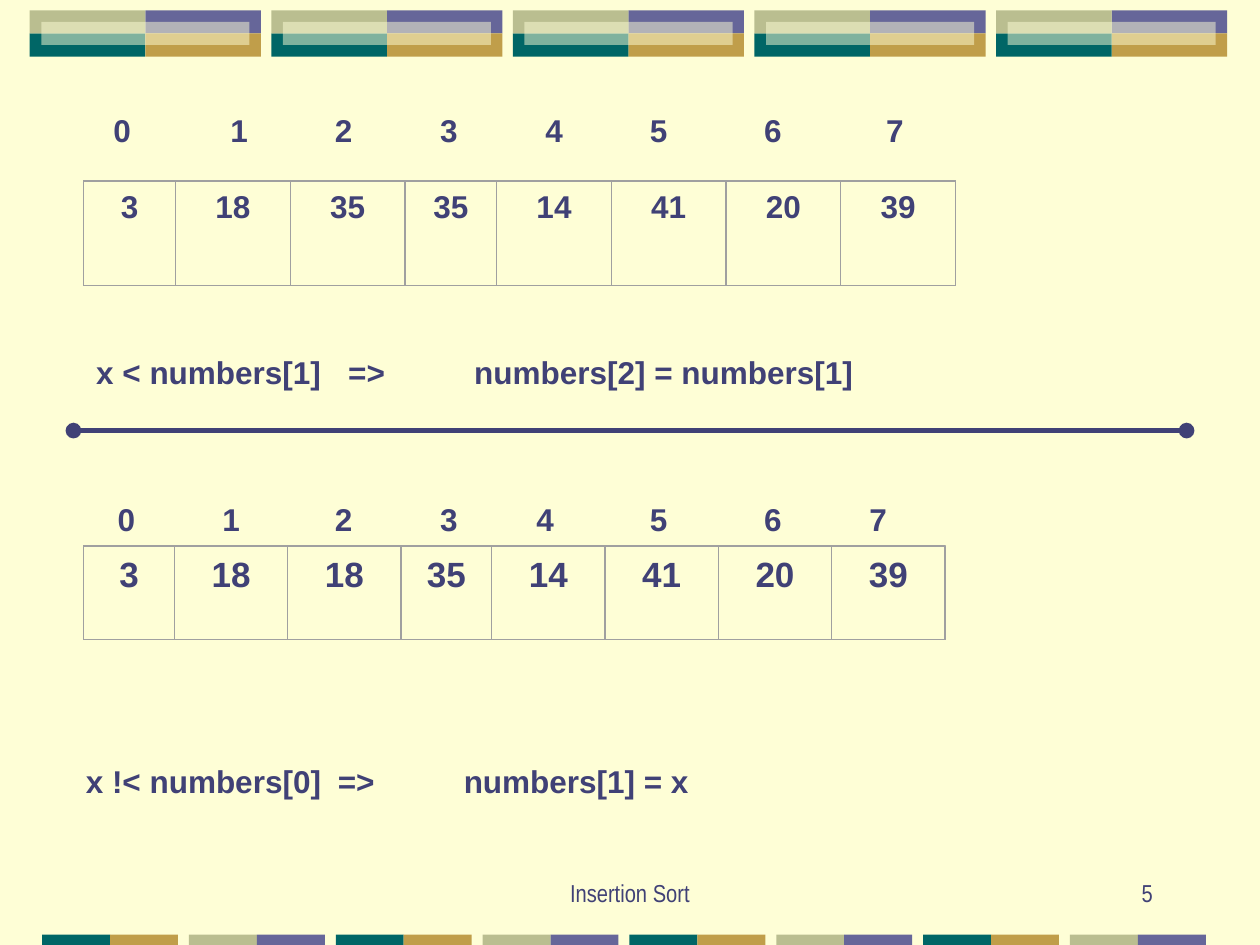
from lxml import etree
from pptx import Presentation
from pptx.dml.color import RGBColor
from pptx.enum.shapes import MSO_CONNECTOR, MSO_SHAPE
from pptx.enum.text import MSO_ANCHOR, PP_ALIGN
from pptx.oxml.ns import qn
from pptx.util import Cm, Pt

RECT, STRAIGHT = MSO_SHAPE.RECTANGLE, MSO_CONNECTOR.STRAIGHT
TOP, BOTTOM = MSO_ANCHOR.TOP, MSO_ANCHOR.BOTTOM
LEFT, CENTER, RIGHT = PP_ALIGN.LEFT, PP_ALIGN.CENTER, PP_ALIGN.RIGHT

COLORS = {
    "paper": "FEFED6", "ink": "404176", "grid": "A0A0A0",
    "violet": "666699", "gold": "C09E4A", "teal": "006666", "olive": "BABE90",
}

# All lengths are in centimetres.
ARRAYS = [
    dict(values=[3, 18, 35, 35, 14, 41, 20, 39], top=3.65, width=17.57, height=2.11,
         size=18, index_box=(1.69, 2.12, 18.63, 1.02),
         index_centers=[2.46, 4.82, 6.93, 9.05, 11.17, 13.28, 15.58, 18.04]),
    dict(values=[3, 18, 18, 35, 14, 41, 20, 39], top=11.01, width=17.36, height=1.89,
         size=20, index_box=(2.12, 9.95, 17.36, 1.02),
         index_centers=[2.53, 4.66, 6.93, 9.05, 10.99, 13.28, 15.58, 17.7]),
]
ARRAY_LEFT = 1.69
COLUMN_WEIGHTS = [4, 5, 5, 4, 5, 5, 5, 5]
STEPS = [
    (["x < numbers[1]", "=>", "numbers[2] = numbers[1]"], (1.69, 6.99, 17.15, 1.02)),
    (["x !< numbers[0]", "=>", "numbers[1] = x"], (1.48, 15.24, 17.99, 1.02)),
]
STEP_TABS = [5.08, 7.62]
FOOTERS = [
    ("Insertion Sort", (8.68, 17.15, 8.04, 1.27), CENTER),
    ("5", (18.2, 17.15, 5.29, 1.27), RIGHT),
]
INSET = 0.25

prs = Presentation()
prs.slide_width, prs.slide_height = Cm(25.4), Cm(19.05)
s = prs.slides.add_slide(prs.slide_layouts[6])


def rgb(name):
    return RGBColor.from_string(COLORS[name])


def add_rect(box, fill=None, line=None, width=0, alpha=None):
    sp = s.shapes.add_shape(RECT, *map(Cm, box))
    sp.shadow.inherit = False
    if fill:
        sp.fill.solid()
        sp.fill.fore_color.rgb = rgb(fill)
        if alpha:
            color = sp.fill._xPr.find(".//" + qn("a:srgbClr"))
            etree.SubElement(color, qn("a:alpha"), val=str(alpha * 1000))
    else:
        sp.fill.background()
    if line:
        sp.line.color.rgb = rgb(line)
        sp.line.width = Pt(width)
    else:
        sp.line.fill.background()
    return sp


def write(sp, text, size=18, font="Arial", bold=True, align=LEFT, anchor=TOP,
          tabs=(), tab_align="l"):
    tf = sp.text_frame
    tf.word_wrap = True
    tf.vertical_anchor = anchor
    p = tf.paragraphs[0]
    p.alignment = align
    if tabs:
        tab_list = etree.SubElement(p._p.get_or_add_pPr(), qn("a:tabLst"))
        for pos in tabs:
            etree.SubElement(tab_list, qn("a:tab"), pos=str(Cm(pos)), algn=tab_align)
    r = p.add_run()
    r.text = text
    r.font.size, r.font.name, r.font.bold = Pt(size), font, bold
    r.font.color.rgb = rgb("ink")


def add_text(box, text, **fmt):
    write(s.shapes.add_textbox(*map(Cm, box)), text, **fmt)


def add_banners(count=5, left=0.6, top=0.21, pitch=4.87, w=2.33, h=0.465):
    for i in range(count):
        x = left + i * pitch
        for col, row, fill in [(1, 0, "violet"), (1, 1, "gold"),
                               (0, 1, "teal"), (0, 0, "olive")]:
            add_rect((x + col * w, top + row * h, w, h), fill)
        add_rect((x + h / 2, top + h / 2, 2 * w - h, h), "paper", alpha=50)


def add_bottom_strip(count=8, left=0.85, top=18.84, pitch=2.96, w=1.37, h=0.21):
    pairs = [("teal", "gold"), ("olive", "violet")]
    for i in range(count):
        for col, fill in enumerate(pairs[i % 2]):
            add_rect((left + i * pitch + col * w, top, w, h), fill)


def add_array(values, top, width, height, size, index_box, index_centers):
    """Draw the index labels, the cells and the outer frame of one array."""
    start = index_box[0] + INSET
    labels = "".join(f"\t{i}" for i in range(len(values)))
    add_text(index_box, labels, tabs=[c - start for c in index_centers], tab_align="ctr")
    unit, x = width / sum(COLUMN_WEIGHTS), ARRAY_LEFT
    for value, weight in zip(values, COLUMN_WEIGHTS):
        cell = add_rect((x, top, weight * unit, height), line="grid")
        write(cell, str(value), size=size, align=CENTER)
        x += weight * unit
    add_rect((ARRAY_LEFT, top, width, height), line="grid", width=0.75)


def add_divider(left=1.48, right=23.92, y=8.68):
    line = s.shapes.add_connector(STRAIGHT, Cm(left), Cm(y), Cm(right), Cm(y))
    line.line.color.rgb = rgb("ink")
    line.line.width = Pt(3)
    ln = line.line._get_or_add_ln()
    for end in ("a:headEnd", "a:tailEnd"):
        etree.SubElement(ln, qn(end), type="oval")
    etree.SubElement(line._element.spPr, qn("a:effectLst"))


s.background.fill.solid()
s.background.fill.fore_color.rgb = rgb("paper")
add_banners()
add_bottom_strip()
for text, box, align in FOOTERS:
    add_text(box, text, size=14, font="Arial Narrow", bold=False, align=align, anchor=BOTTOM)
for array in ARRAYS:
    add_array(**array)
for parts, box in STEPS:
    add_text(box, "\t".join(parts), tabs=STEP_TABS)
add_divider()

prs.save("out.pptx")
